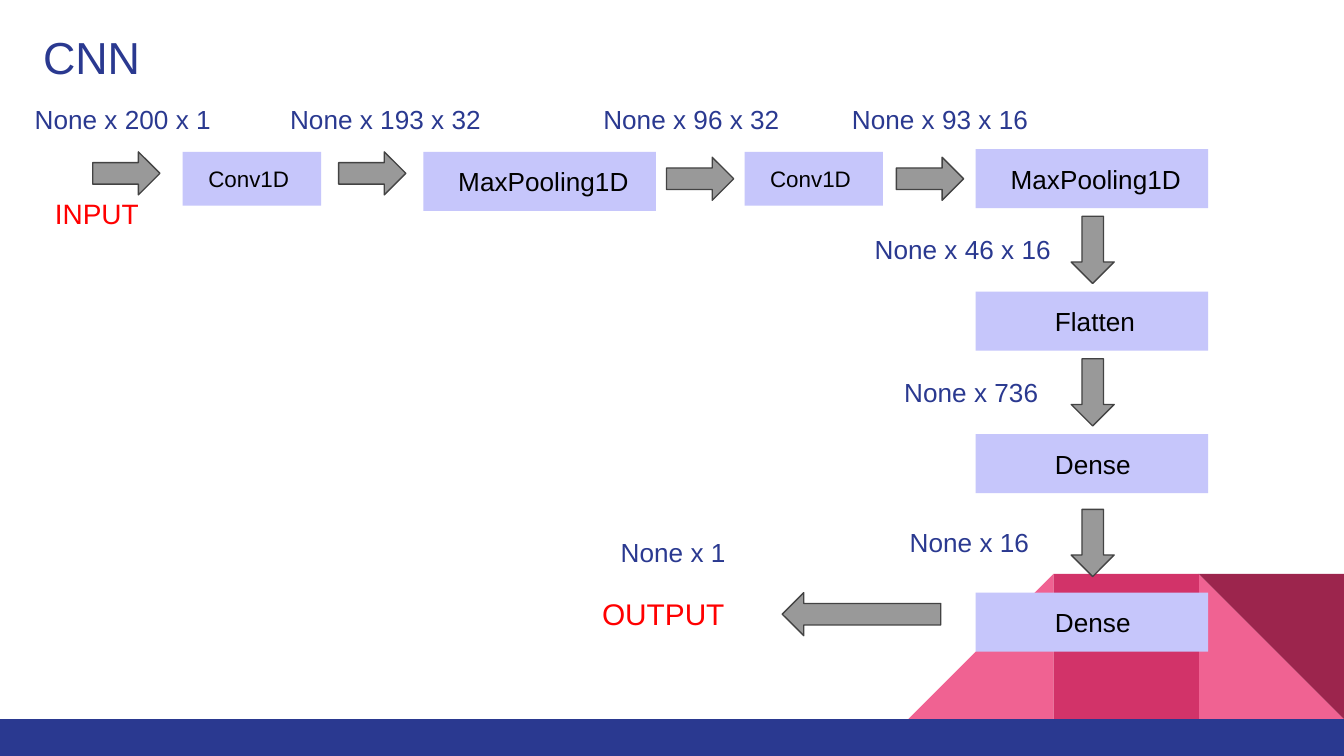
"""Build the CNN architecture slide with its layers, arrows and tensor sizes."""
import pptx
import pptx.dml.color
import pptx.enum.shapes
import pptx.enum.text
import pptx.util

RGBColor = pptx.dml.color.RGBColor
MSO_SHAPE = pptx.enum.shapes.MSO_SHAPE
MSO_ANCHOR = pptx.enum.text.MSO_ANCHOR

PX = 9144
NAVY = RGBColor(0x2A, 0x39, 0x90)
PINK = RGBColor(0xF0, 0x62, 0x92)
ROSE = RGBColor(0xD2, 0x33, 0x69)
WINE = RGBColor(0x9C, 0x25, 0x4D)
LAVENDER = RGBColor(0xC6, 0xC6, 0xFB)
GRAY = RGBColor(0x99, 0x99, 0x99)
CHARCOAL = RGBColor(0x43, 0x43, 0x43)
BLACK = RGBColor(0x00, 0x00, 0x00)
RED = RGBColor(0xFF, 0x00, 0x00)


def add_block(kind, box, fill, rotation=0):
    block = slide.shapes.add_shape(kind, *(n * PX for n in box))
    block.shadow.inherit = False
    block.fill.solid()
    block.fill.fore_color.rgb = fill
    block.line.fill.background()
    block.rotation = rotation
    return block


def write(holder, wording, size, color, indent=10, anchor=MSO_ANCHOR.TOP):
    frame = holder.text_frame
    frame.text = wording
    frame_format = {
        "word_wrap": True,
        "auto_size": pptx.enum.text.MSO_AUTO_SIZE.NONE,
        "vertical_anchor": anchor,
        "margin_left": indent * PX,
        "margin_top": 10 * PX,
        "margin_right": 10 * PX,
        "margin_bottom": 10 * PX,
    }
    for name, value in frame_format.items():
        setattr(frame, name, value)
    line = frame.paragraphs[0]
    line.alignment = pptx.enum.text.PP_ALIGN.LEFT
    for name, value in {"name": "Arial", "size": pptx.util.Pt(size)}.items():
        setattr(line.runs[0].font, name, value)
    line.runs[0].font.color.rgb = color


deck = pptx.Presentation()
deck.slide_width = 1000 * PX
deck.slide_height = deck.slide_width * 9 // 16
slide = deck.slides.add_slide(deck.slide_layouts[5])

title = slide.shapes.title
title_place = {"left": 22, "top": 12, "width": 143, "height": 61}
for side, length in title_place.items():
    setattr(title, side, length * PX)
write(title, "CNN", 24, NAVY)

add_block(MSO_SHAPE.RIGHT_TRIANGLE, (892, 427, 108, 108), PINK)
left_slope = add_block(MSO_SHAPE.RIGHT_TRIANGLE, (676, 427, 108, 108), PINK)
left_slope.element.spPr.xfrm.set("flipH", "1")
add_block(MSO_SHAPE.RECTANGLE, (784, 427, 108, 108), ROSE)
add_block(MSO_SHAPE.RIGHT_TRIANGLE, (892, 427, 108, 108), WINE, 180)
add_block(MSO_SHAPE.RECTANGLE, (0, 535, 1000, 28), NAVY)

layers = [
    ("Conv1D", 136, 113, 103, 40, 12, 19),
    ("MaxPooling1D", 315, 113, 173, 44, 14, 26),
    ("Conv1D", 554, 113, 103, 40, 12, 19),
    ("MaxPooling1D", 726, 111, 173, 44, 14, 26),
    ("Flatten", 726, 217, 173, 44, 14, 59),
    ("Dense", 726, 323, 173, 44, 14, 59),
    ("Dense", 726, 441, 173, 44, 14, 59),
]
for wording, left, top, width, height, size, indent in layers:
    layer = add_block(MSO_SHAPE.RECTANGLE, (left, top, width, height), LAVENDER)
    write(layer, wording, size, BLACK, indent, MSO_ANCHOR.MIDDLE)

flows = [
    (69, 113, 50, 0),
    (252, 113, 50, 0),
    (496, 117, 50, 0),
    (667, 117, 50, 0),
    (788, 170, 50, 90),
    (788, 276, 50, 90),
    (788, 388, 50, 90),
    (582, 441, 118, 180),
]
for left, top, length, rotation in flows:
    flow = add_block(MSO_SHAPE.RIGHT_ARROW, (left, top, length, 32), GRAY, rotation)
    flow.line.color.rgb = CHARCOAL
    flow.line.width = pptx.util.Pt(0.75)

captions = [
    ("None x 200 x 1", 16, 67, 156, 44, 14, NAVY, 10),
    ("None x 193 x 32", 206, 67, 165, 44, 14, NAVY, 10),
    ("None x 96 x 32", 439, 67, 165, 44, 14, NAVY, 10),
    ("None x 93 x 16", 624, 67, 165, 44, 14, NAVY, 10),
    ("None x 46 x 16", 641, 164, 156, 44, 14, NAVY, 10),
    ("None x 736", 663, 270, 130, 44, 14, NAVY, 10),
    ("None x 16", 667, 382, 122, 44, 14, NAVY, 10),
    ("None x 1", 452, 389, 122, 44, 14, NAVY, 10),
    ("INPUT", 31, 136, 88, 45, 15, RED, 10),
    ("OUTPUT", 426, 433, 149, 47, 16, RED, 22),
]
for wording, left, top, width, height, size, color, indent in captions:
    caption = slide.shapes.add_textbox(left * PX, top * PX, width * PX, height * PX)
    write(caption, wording, size, color, indent)

deck.save("out.pptx")
